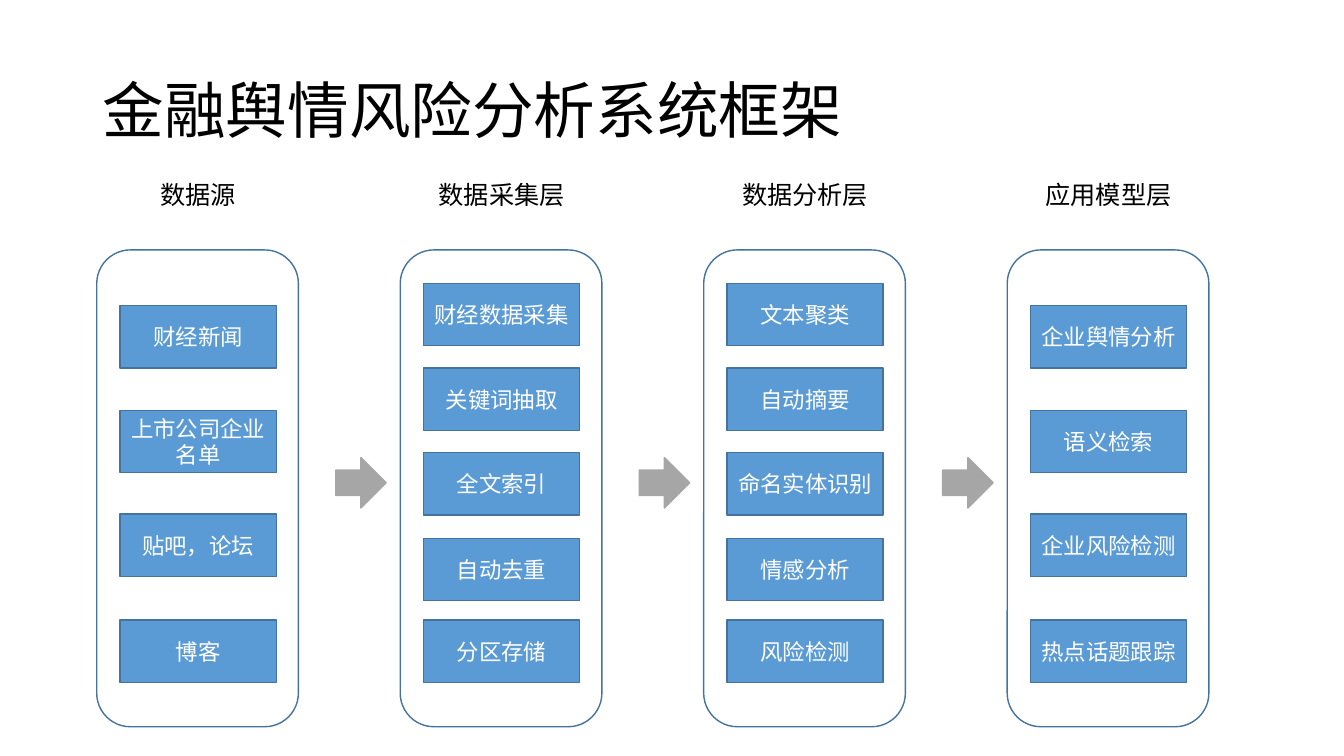
from pptx import Presentation
from pptx.dml.color import RGBColor
from pptx.enum.shapes import MSO_SHAPE
from pptx.enum.text import MSO_ANCHOR, PP_ALIGN
from pptx.util import Inches, Pt

RECT = MSO_SHAPE.RECTANGLE
ROUND_RECT = MSO_SHAPE.ROUNDED_RECTANGLE
RIGHT_ARROW = MSO_SHAPE.RIGHT_ARROW
TOP, MIDDLE = MSO_ANCHOR.TOP, MSO_ANCHOR.MIDDLE
LEFT, CENTER = PP_ALIGN.LEFT, PP_ALIGN.CENTER

FONT = "Calibri"
BLACK, WHITE = "000000", "FFFFFF"
BLUE, OUTLINE, GRAY = "5B9BD5", "43739E", "A6A6A6"

# Column geometry in inches
FIRST_LEFT, PITCH = 0.96, 3.01
PANEL_TOP, PANEL_W, PANEL_H = 2.48, 2, 4.73
CARD_INSET, CARD_W, CARD_H = 0.23, 1.55, 0.62
LABEL_TOP, LABEL_H = 1.73, 0.4
ARROW_OFFSET, ARROW_TOP, ARROW_SIZE = 2.37, 4.54, 0.5

# Card tops by number of cards in a column
CARD_TOPS = {
    4: [3.03, 4.07, 5.1, 6.15],
    5: [2.81, 3.65, 4.49, 5.34, 6.15],
}

LAYERS = [
    ("数据源", ["财经新闻", "上市公司企业名单", "贴吧，论坛", "博客"]),
    ("数据采集层", ["财经数据采集", "关键词抽取", "全文索引", "自动去重", "分区存储"]),
    ("数据分析层", ["文本聚类", "自动摘要", "命名实体识别", "情感分析", "风险检测"]),
    ("应用模型层", ["企业舆情分析", "语义检索", "企业风险检测", "热点话题跟踪"]),
]


def rgb(color):
    return RGBColor.from_string(color)


def write(sp, text, size, color, align=CENTER, anchor=MIDDLE):
    tf = sp.text_frame
    tf.word_wrap = True
    tf.vertical_anchor = anchor
    p = tf.paragraphs[0]
    p.alignment = align
    r = p.add_run()
    r.text = text
    r.font.name = FONT
    r.font.size = Pt(size)
    r.font.color.rgb = rgb(color)
    return p


def add_text(s, box, text, size, align=CENTER, anchor=TOP):
    sp = s.shapes.add_textbox(*map(Inches, box))
    return write(sp, text, size, BLACK, align, anchor)


def add_block(s, kind, box, fill, line):
    sp = s.shapes.add_shape(kind, *map(Inches, box))
    sp.shadow.inherit = False
    sp.fill.solid()
    sp.fill.fore_color.rgb = rgb(fill)
    sp.line.color.rgb = rgb(line)
    sp.line.width = Pt(1)
    return sp


def add_layer(s, left, name, cards):
    add_block(s, ROUND_RECT, (left, PANEL_TOP, PANEL_W, PANEL_H), WHITE, OUTLINE)
    inner = left + CARD_INSET
    add_text(s, (inner, LABEL_TOP, CARD_W, LABEL_H), name, 18)
    for top, text in zip(CARD_TOPS[len(cards)], cards):
        card = add_block(s, RECT, (inner, top, CARD_W, CARD_H), BLUE, OUTLINE)
        write(card, text, 16, WHITE)


def main():
    prs = Presentation()
    prs.slide_width, prs.slide_height = Inches(13.33), Inches(7.5)
    s = prs.slides.add_slide(prs.slide_layouts[6])

    # Title
    p = add_text(s, (0.92, 0.4, 11.5, 1.45), "金融舆情风险分析系统框架", 44, LEFT, MIDDLE)
    p.line_spacing = 0.9

    # Layers, with an arrow from each to the next
    for i, (name, cards) in enumerate(LAYERS):
        left = FIRST_LEFT + i * PITCH
        add_layer(s, left, name, cards)
        if i < len(LAYERS) - 1:
            box = (left + ARROW_OFFSET, ARROW_TOP, ARROW_SIZE, ARROW_SIZE)
            add_block(s, RIGHT_ARROW, box, GRAY, GRAY)

    prs.save("out.pptx")


if __name__ == "__main__":
    main()
